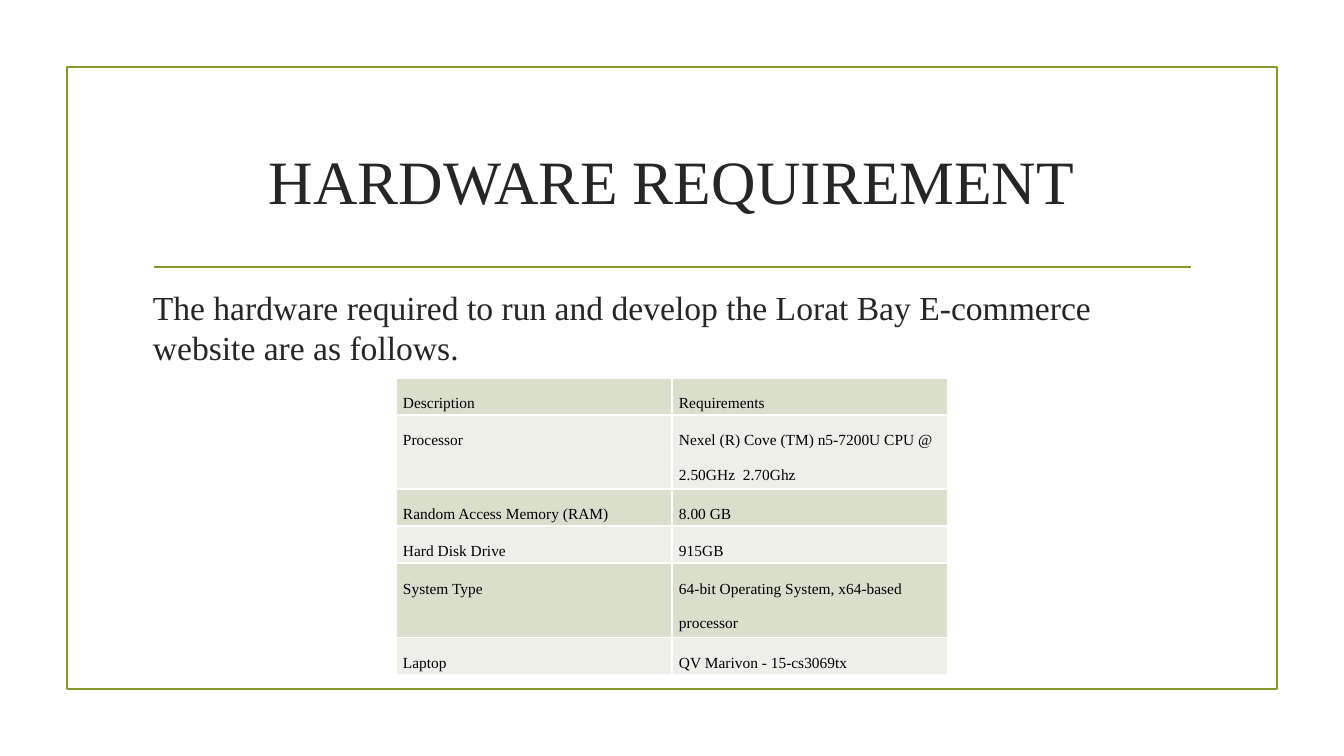
from lxml import etree
from pptx import Presentation
from pptx.dml.color import RGBColor
from pptx.enum.shapes import MSO_CONNECTOR, MSO_SHAPE
from pptx.enum.text import MSO_ANCHOR, PP_ALIGN
from pptx.oxml.ns import qn
from pptx.util import Emu, Pt

TITLE = "HARDWARE REQUIREMENT"
INTRODUCTION = ("The hardware required to run and develop the Lorat Bay E-commerce "
                "website are as follows.")
# Description, requirement, number of text lines
REQUIREMENTS = [
    ("Description", "Requirements", 1),
    ("Processor", "Nexel (R) Cove (TM) n5-7200U CPU @ 2.50GHz  2.70Ghz", 2),
    ("Random Access Memory (RAM)", "8.00 GB", 1),
    ("Hard Disk Drive", "915GB", 1),
    ("System Type", "64-bit Operating System, x64-based processor", 2),
    ("Laptop", "QV Marivon - 15-cs3069tx", 1),
]
FONT = "Times New Roman"
GREEN, DARK, BLACK, WHITE = "83992A", "262626", "000000", "FFFFFF"
BANDS = ("D9DECD", "EDEFE8")
RECTANGLE = MSO_SHAPE.RECTANGLE
STRAIGHT = MSO_CONNECTOR.STRAIGHT
MIDDLE = MSO_ANCHOR.MIDDLE
TOP = MSO_ANCHOR.TOP
CENTER = PP_ALIGN.CENTER
LEFT = PP_ALIGN.LEFT

EMU_PER_PX = 914400 / 100.8
SLIDE_SIZE = (1344, 756)
FRAME = (67, 67, 1210, 622)
RULE = (154, 267, 1191, 267)
TITLE_BOX = (143, 108, 1058, 144)
INTRODUCTION_BOX = (143, 282, 1050, 105)
TABLE_LEFT, TABLE_TOP = 396, 378
COLUMN_WIDTH, LINE_HEIGHT, CELL_MARGIN = 276, 34, 7


def px(*lengths):
    return [Emu(round(length * EMU_PER_PX)) for length in lengths]


def color(value):
    return RGBColor.from_string(value)


def write(text_frame, text, size, text_color, alignment=LEFT):
    text_frame.word_wrap = True
    text_frame.text = text
    paragraph = text_frame.paragraphs[0]
    paragraph.alignment = alignment
    font = paragraph.runs[0].font
    font.name, font.size = FONT, Pt(size)
    font.color.rgb = color(text_color)
    return paragraph


def draw_line(line):
    line.color.rgb = color(GREEN)
    line.width = Pt(1.25)


def add_borders(cell):
    """Give all four cell edges a thin white line, placed before the fill."""
    properties = cell._tc.get_or_add_tcPr()
    for position, edge in enumerate(("a:lnL", "a:lnR", "a:lnT", "a:lnB")):
        border = etree.Element(qn(edge), w=str(Pt(1)))
        fill = etree.SubElement(border, qn("a:solidFill"))
        etree.SubElement(fill, qn("a:srgbClr"), val=WHITE)
        properties.insert(position, border)


def add_table(slide):
    heights = [lines * LINE_HEIGHT for *_, lines in REQUIREMENTS]
    table = slide.shapes.add_table(
        len(REQUIREMENTS), 2,
        *px(TABLE_LEFT, TABLE_TOP, 2 * COLUMN_WIDTH, sum(heights))).table
    for column in table.columns:
        column.width = px(COLUMN_WIDTH)[0]
    for index, (*texts, _) in enumerate(REQUIREMENTS):
        table.rows[index].height = px(heights[index])[0]
        for cell, text in zip(table.rows[index].cells, texts):
            cell.fill.solid()
            cell.fill.fore_color.rgb = color(BANDS[index % 2])
            add_borders(cell)
            cell.margin_left, cell.margin_right = px(CELL_MARGIN, CELL_MARGIN)
            cell.margin_top = cell.margin_bottom = 0
            paragraph = write(cell.text_frame, text, 11, BLACK)
            paragraph.line_spacing = 2.0
            paragraph.space_after = Pt(10)


def main():
    presentation = Presentation()
    presentation.slide_width, presentation.slide_height = px(*SLIDE_SIZE)
    slide = presentation.slides.add_slide(presentation.slide_layouts[5])

    frame = slide.shapes.add_shape(RECTANGLE, *px(*FRAME))
    frame.shadow.inherit = False
    frame.fill.background()
    draw_line(frame.line)

    rule = slide.shapes.add_connector(STRAIGHT, *px(*RULE))
    etree.SubElement(rule._element.spPr, qn("a:effectLst"))
    draw_line(rule.line)

    title = slide.shapes.title
    title.left, title.top, title.width, title.height = px(*TITLE_BOX)
    title.text_frame.vertical_anchor = MIDDLE
    write(title.text_frame, TITLE, 44, DARK, CENTER)

    introduction = slide.shapes.add_textbox(*px(*INTRODUCTION_BOX))
    introduction.text_frame.vertical_anchor = TOP
    write(introduction.text_frame, INTRODUCTION, 24, DARK).space_after = Pt(6)

    add_table(slide)
    presentation.save("out.pptx")


if __name__ == "__main__":
    main()
